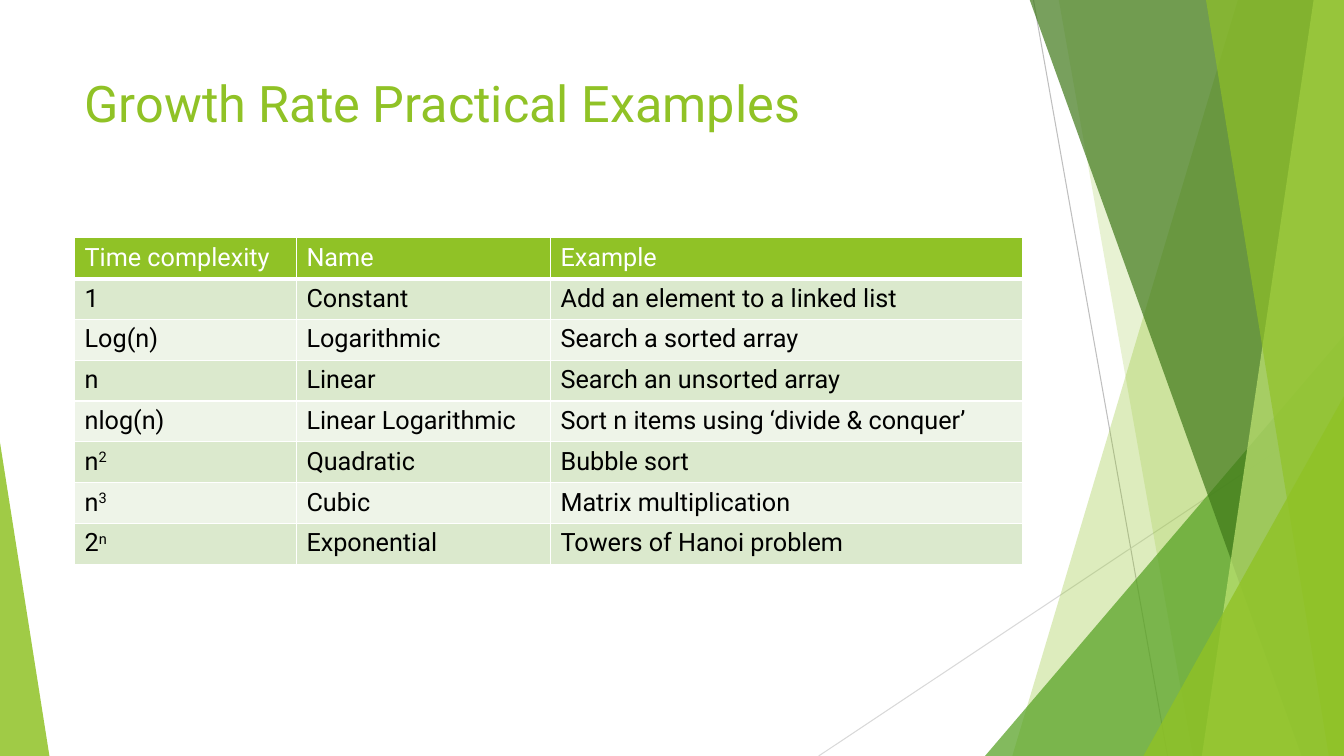
from lxml.etree import SubElement
from pptx import Presentation
from pptx.dml.color import RGBColor
from pptx.enum.shapes import MSO_CONNECTOR, MSO_SHAPE
from pptx.enum.text import MSO_ANCHOR
from pptx.oxml.ns import qn
from pptx.util import Inches, Pt

WHITE = RGBColor(0xFF, 0xFF, 0xFF)
BLACK = RGBColor(0x00, 0x00, 0x00)
LIME = RGBColor(0x90, 0xC2, 0x26)
PALE_LIME = RGBColor(0xC0, 0xE4, 0x74)
GREEN = RGBColor(0x54, 0xA0, 0x21)
DARK_GREEN = RGBColor(0x3F, 0x78, 0x19)
GRAY = RGBColor(0xBF, 0xBF, 0xBF)
LIGHT_GRAY = RGBColor(0xD9, 0xD9, 0xD9)
ODD_ROW = RGBColor(0xDB, 0xE9, 0xCD)
EVEN_ROW = RGBColor(0xEE, 0xF4, 0xE8)

WIDTH, HEIGHT, TOP = 13.33, 7.5, -0.01

COLUMN_WIDTHS = [2.2, 2.52, 4.68]
ROW_HEIGHT = 0.405
ROWS = [
    (("Time complexity", ""), "Name", "Example"),
    (("1", ""), "Constant", "Add an element to a linked list"),
    (("Log(n)", ""), "Logarithmic", "Search a sorted array"),
    (("n", ""), "Linear", "Search an unsorted array"),
    (("nlog(n)", ""), "Linear Logarithmic", "Sort n items using ‘divide & conquer’"),
    (("n", "2"), "Quadratic", "Bubble sort"),
    (("n", "3"), "Cubic", "Matrix multiplication"),
    (("2", "n"), "Exponential", "Towers of Hanoi problem"),
]


class SlideBuilder:
    font_name = "Roboto"
    title_size = Pt(36)
    table_size = Pt(18)

    def __init__(self, slide):
        self.slide = slide

    def style_run(self, run, size, color):
        run.font.name = self.font_name
        run.font.size = size
        run.font.bold = False
        run.font.color.rgb = color

    def line(self, start, end, color):
        connector = self.slide.shapes.add_connector(
            MSO_CONNECTOR.STRAIGHT, *map(Inches, start + end))
        connector.line.color.rgb = color
        connector.line.width = Pt(0.75)
        SubElement(connector._element.spPr, qn("a:effectLst"))

    def paint(self, shape, color, opacity):
        shape.shadow.inherit = False
        shape.line.fill.background()
        shape.fill.solid()
        shape.fill.fore_color.rgb = color
        color_element = shape._element.spPr.find(qn("a:solidFill"))[0]
        SubElement(color_element, qn("a:alpha"), val=str(opacity * 1000))

    def band(self, top_x, bottom_x, color, opacity):
        corners = [(WIDTH, TOP), (WIDTH, HEIGHT), (bottom_x, HEIGHT)]
        builder = self.slide.shapes.build_freeform(Inches(top_x), Inches(TOP))
        builder.add_line_segments([tuple(map(Inches, corner)) for corner in corners])
        self.paint(builder.convert_to_shape(), color, opacity)

    def triangle(self, left, top, width, apex, color, opacity):
        shape = self.slide.shapes.add_shape(
            MSO_SHAPE.ISOSCELES_TRIANGLE,
            *map(Inches, (left, top, width, HEIGHT - top)))
        shape.adjustments[0] = apex
        self.paint(shape, color, opacity)

    def title(self, text, left, top, width, height):
        box = self.slide.shapes.add_textbox(*map(Inches, (left, top, width, height)))
        frame = box.text_frame
        frame.word_wrap = True
        frame.vertical_anchor = MSO_ANCHOR.TOP
        frame.text = text
        self.style_run(frame.paragraphs[0].runs[0], self.title_size, LIME)

    def cell(self, cell, content, fill, color, bottom_width):
        base, superscript = content if isinstance(content, tuple) else (content, "")
        paragraph = cell.text_frame.paragraphs[0]
        paragraph.text = base
        if superscript:
            run = paragraph.add_run()
            run.text = superscript
            run.font._element.set("baseline", "30000")
        for run in paragraph.runs:
            self.style_run(run, self.table_size, color)
        properties = cell._tc.get_or_add_tcPr()
        for side, width in zip("LRTB", (1, 1, 1, bottom_width)):
            border = SubElement(properties, qn(f"a:ln{side}"), w=str(Pt(width)))
            border_fill = SubElement(border, qn("a:solidFill"))
            SubElement(border_fill, qn("a:srgbClr"), val=str(WHITE))
        cell.fill.solid()
        cell.fill.fore_color.rgb = fill

    def table(self, rows, left, top):
        table = self.slide.shapes.add_table(
            len(rows), len(COLUMN_WIDTHS), Inches(left), Inches(top),
            Inches(sum(COLUMN_WIDTHS)), Inches(ROW_HEIGHT * len(rows))).table
        table.first_row = False
        table.horz_banding = False
        for column, width in zip(table.columns, COLUMN_WIDTHS):
            column.width = Inches(width)
        for row_index, contents in enumerate(rows):
            table.rows[row_index].height = Inches(ROW_HEIGHT)
            if row_index == 0:
                style = (LIME, WHITE, 3)
            else:
                style = (ODD_ROW if row_index % 2 else EVEN_ROW, BLACK, 1)
            for column_index, content in enumerate(contents):
                self.cell(table.cell(row_index, column_index), content, *style)


def main():
    presentation = Presentation()
    presentation.slide_width = Inches(WIDTH)
    presentation.slide_height = Inches(HEIGHT)
    slide = presentation.slides.add_slide(presentation.slide_layouts[6])
    builder = SlideBuilder(slide)

    builder.line((10.25, 0), (11.58, HEIGHT), GRAY)
    builder.line((WIDTH, 4.03), (8.12, HEIGHT), LIGHT_GRAY)
    builder.band(12.28, 10.04, LIME, 30)
    builder.band(10.5, 11.83, LIME, 20)
    builder.triangle(9.77, 3.33, 3.56, 1, GREEN, 72)
    builder.band(10.21, 12.91, DARK_GREEN, 70)
    builder.band(13.03, 11.92, PALE_LIME, 70)
    builder.band(11.96, 13.18, LIME, 65)
    builder.triangle(11.34, 3.93, 1.99, 1, LIME, 80)
    builder.triangle(0, 4.39, 0.49, 0, LIME, 85)

    builder.title("Growth Rate Practical Examples", 0.74, 0.67, 9.4, 1.44)
    builder.table(ROWS, 0.74, 2.36)
    presentation.save("out.pptx")


if __name__ == "__main__":
    main()
